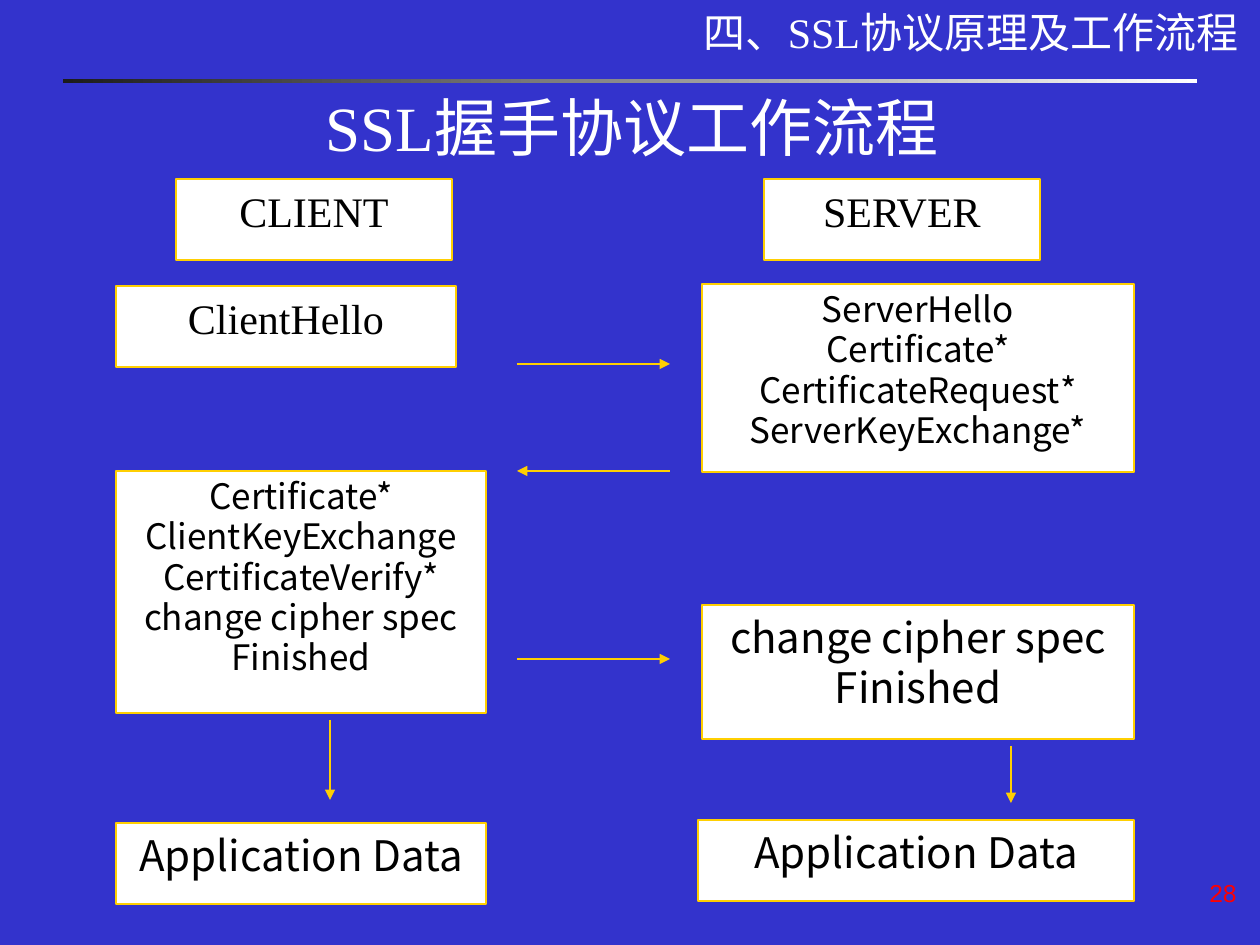
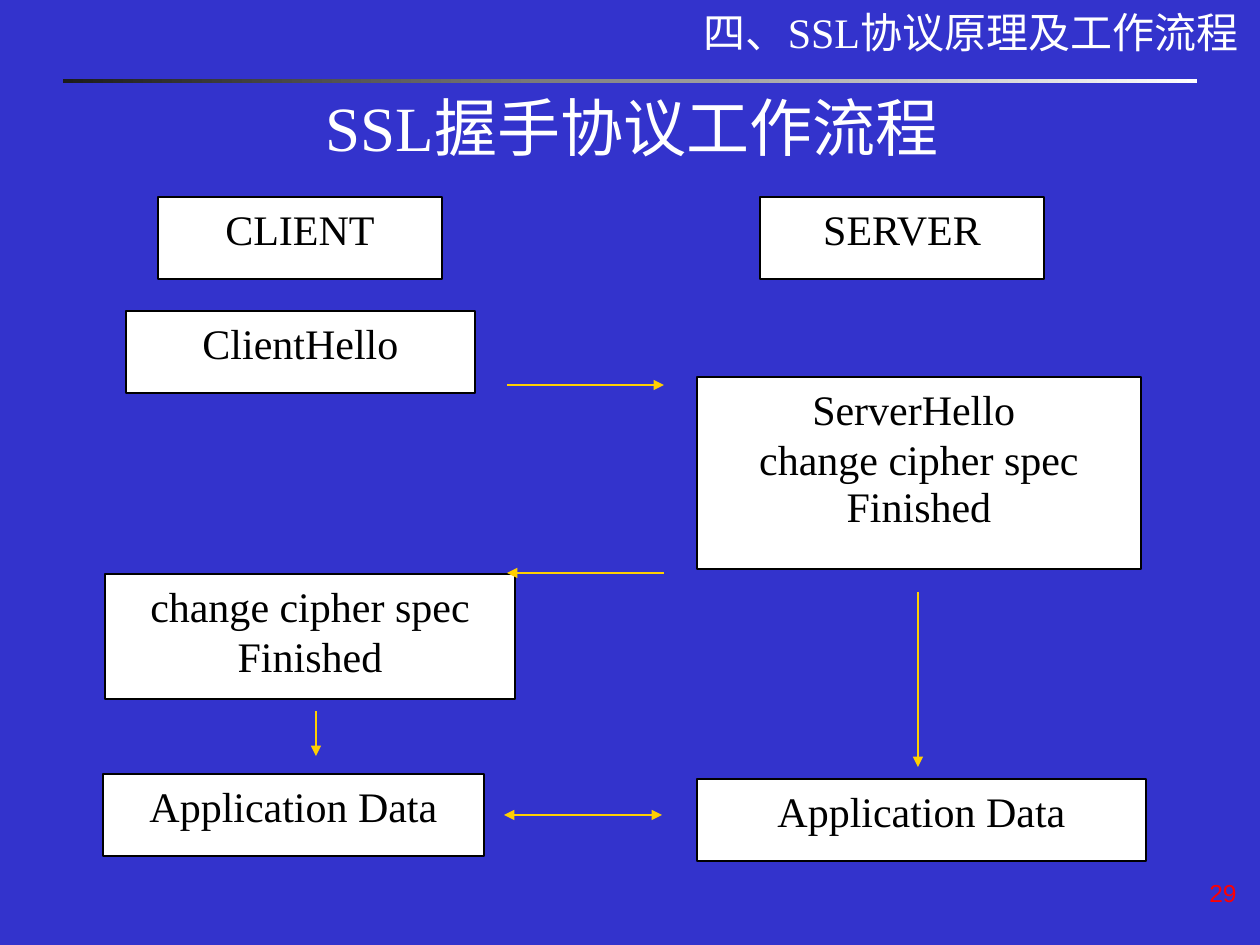
from lxml.etree import SubElement
from pptx import Presentation
from pptx.dml.color import RGBColor
from pptx.enum.shapes import MSO_CONNECTOR as CONN, MSO_SHAPE as SHAPE
from pptx.enum.text import MSO_ANCHOR as ANCHOR, MSO_AUTO_SIZE as AUTO, PP_ALIGN as ALIGN
from pptx.oxml.ns import qn
from pptx.util import Emu, Pt

PX = 914400 / 126
COLORS = {
    "back": "3333CC", "white": "FFFFFF", "black": "000000",
    "gold": "FFCF01", "dark": "1C1C1C", "red": "FF0000",
}
SERIF, SANS, ARIAL = "Times New Roman", "Noto Sans CJK SC", "Arial"
HEADER = "四、SSL协议原理及工作流程 "
TITLE = "SSL握手协议工作流程"


def rgb(name):
    return RGBColor.from_string(COLORS[name])


def px(*values):
    return [Emu(round(v * PX)) for v in values]


def write(tf, text, size=24, font=SERIF, color="black", align=ALIGN.CENTER,
          anchor=ANCHOR.TOP, spacing=None, last_spacing=None):
    """Fill a text frame with one paragraph per line of text."""
    tf.word_wrap = True
    tf.auto_size = AUTO.NONE
    tf.vertical_anchor = anchor
    tf.text = text
    for p in tf.paragraphs:
        p.alignment = align
        p.line_spacing = spacing
        for r in p.runs:
            r.font.size = Pt(size)
            r.font.name = font
            r.font.color.rgb = rgb(color)
            SubElement(r.font._element, qn("a:ea"), typeface=SANS)
    if last_spacing:
        tf.paragraphs[-1].line_spacing = last_spacing


class Deck:
    def __init__(self):
        self.prs = Presentation()
        self.prs.slide_width, self.prs.slide_height = px(1260, 945)
        fill = self.prs.slide_master.background.fill
        fill.solid()
        fill.fore_color.rgb = rgb("back")

    def new_slide(self, number, border):
        """Start a slide with its band, title, header and page number."""
        self.s = self.prs.slides.add_slide(self.prs.slide_layouts[5])
        self.border = border
        self.band(63, 79, 1134, 4)
        sp = self.s.shapes.title
        sp.left, sp.top, sp.width, sp.height = px(95, 84, 1074, 86)
        write(sp.text_frame, TITLE, size=36, color="white", anchor=ANCHOR.BOTTOM)
        self.label(483, 0, 777, 63, HEADER, color="white", align=ALIGN.RIGHT)
        self.label(987, 872, 262, 63, str(number), size=14, font=ARIAL,
                   color="red", align=ALIGN.RIGHT)

    def rect(self, x, y, w, h):
        sp = self.s.shapes.add_shape(SHAPE.RECTANGLE, *px(x, y, w, h))
        sp.shadow.inherit = False
        return sp

    def band(self, x, y, w, h):
        sp = self.rect(x, y, w, h)
        sp.line.fill.background()
        sp.fill.gradient()
        sp.fill.gradient_angle = 0
        for stop, name in zip(sp.fill.gradient_stops, ("dark", "white")):
            stop.color.rgb = rgb(name)

    def label(self, x, y, w, h, text, **fmt):
        sp = self.s.shapes.add_textbox(*px(x, y, w, h))
        write(sp.text_frame, text, **fmt)

    def box(self, x, y, w, h, text, **fmt):
        sp = self.rect(x, y, w, h)
        sp.fill.solid()
        sp.fill.fore_color.rgb = rgb("white")
        sp.line.color.rgb = rgb(self.border)
        sp.line.width = Pt(0.75)
        write(sp.text_frame, text, **fmt)

    def arrow(self, x1, y1, x2, y2, both=False):
        sp = self.s.shapes.add_connector(CONN.STRAIGHT, *px(x1, y1, x2, y2))
        sp.line.color.rgb = rgb("gold")
        sp.line.width = Pt(0.75)
        ln = sp.line._get_or_add_ln()
        for end in ("a:headEnd", "a:tailEnd") if both else ("a:tailEnd",):
            SubElement(ln, qn(end), type="triangle")
        SubElement(sp._element.spPr, qn("a:effectLst"))


def full_handshake(deck):
    deck.new_slide(28, border="gold")
    # Column heads and greeting
    deck.box(176, 179, 276, 81, "CLIENT")
    deck.box(764, 179, 276, 81, "SERVER")
    deck.box(116, 286, 340, 81, "ClientHello")
    # Message lists
    small = dict(size=20, font=SANS, spacing=0.96)
    deck.box(702, 284, 432, 188,
             "ServerHello\nCertificate*\nCertificateRequest*\nServerKeyExchange*", **small)
    deck.box(116, 471, 370, 242,
             "Certificate*\nClientKeyExchange\nCertificateVerify*\n"
             "change cipher spec\nFinished", **small)
    deck.box(702, 605, 432, 134, "change cipher spec\nFinished", font=SANS)
    deck.box(116, 823, 370, 81, "Application Data", font=SANS)
    deck.box(698, 820, 436, 81, "Application Data", font=SANS)
    # Message flow
    left, right = 517, 670
    deck.arrow(left, 364, right, 364)
    deck.arrow(right, 471, left, 471)
    deck.arrow(left, 659, right, 659)
    deck.arrow(330, 720, 330, 800)
    deck.arrow(1011, 746, 1011, 803)


def resumed_handshake(deck):
    deck.new_slide(29, border="black")
    # Column heads and greeting
    deck.box(158, 197, 284, 82, "CLIENT")
    deck.box(760, 197, 284, 82, "SERVER")
    deck.box(126, 311, 349, 82, "ClientHello")
    # Message lists
    deck.box(697, 377, 444, 192, "ServerHello \nchange cipher spec\nFinished",
             last_spacing=0.96)
    deck.box(105, 574, 410, 125, "change cipher spec\nFinished")
    deck.box(103, 774, 381, 82, "Application Data")
    deck.box(697, 779, 449, 82, "Application Data")
    # Message flow
    left, right = 507, 664
    deck.arrow(left, 385, right, 385)
    deck.arrow(right, 573, left, 573)
    deck.arrow(504, 815, 662, 815, both=True)
    deck.arrow(316, 711, 316, 756)
    deck.arrow(918, 592, 918, 767)


def main():
    deck = Deck()
    full_handshake(deck)
    resumed_handshake(deck)
    deck.prs.save("out.pptx")


if __name__ == "__main__":
    main()
